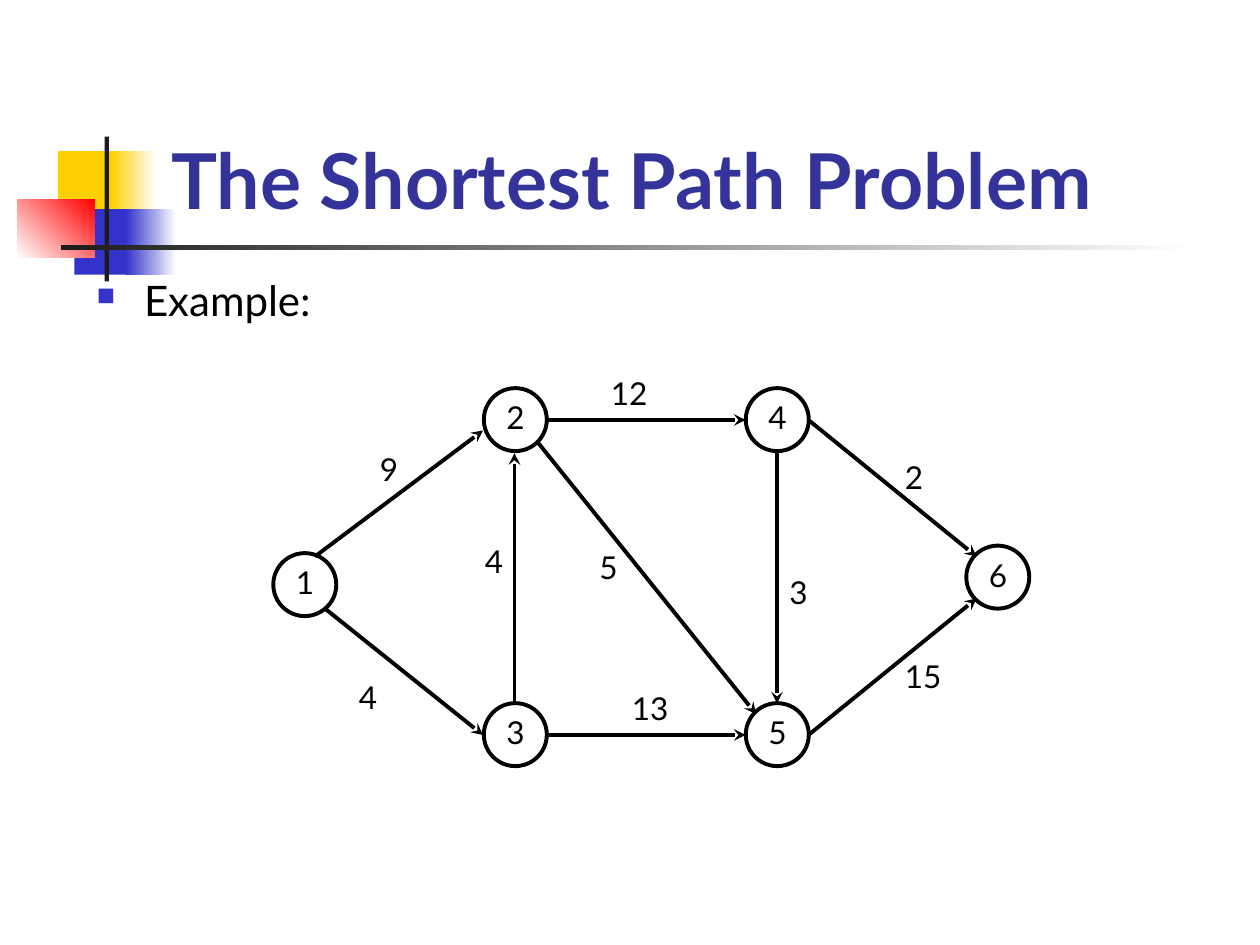
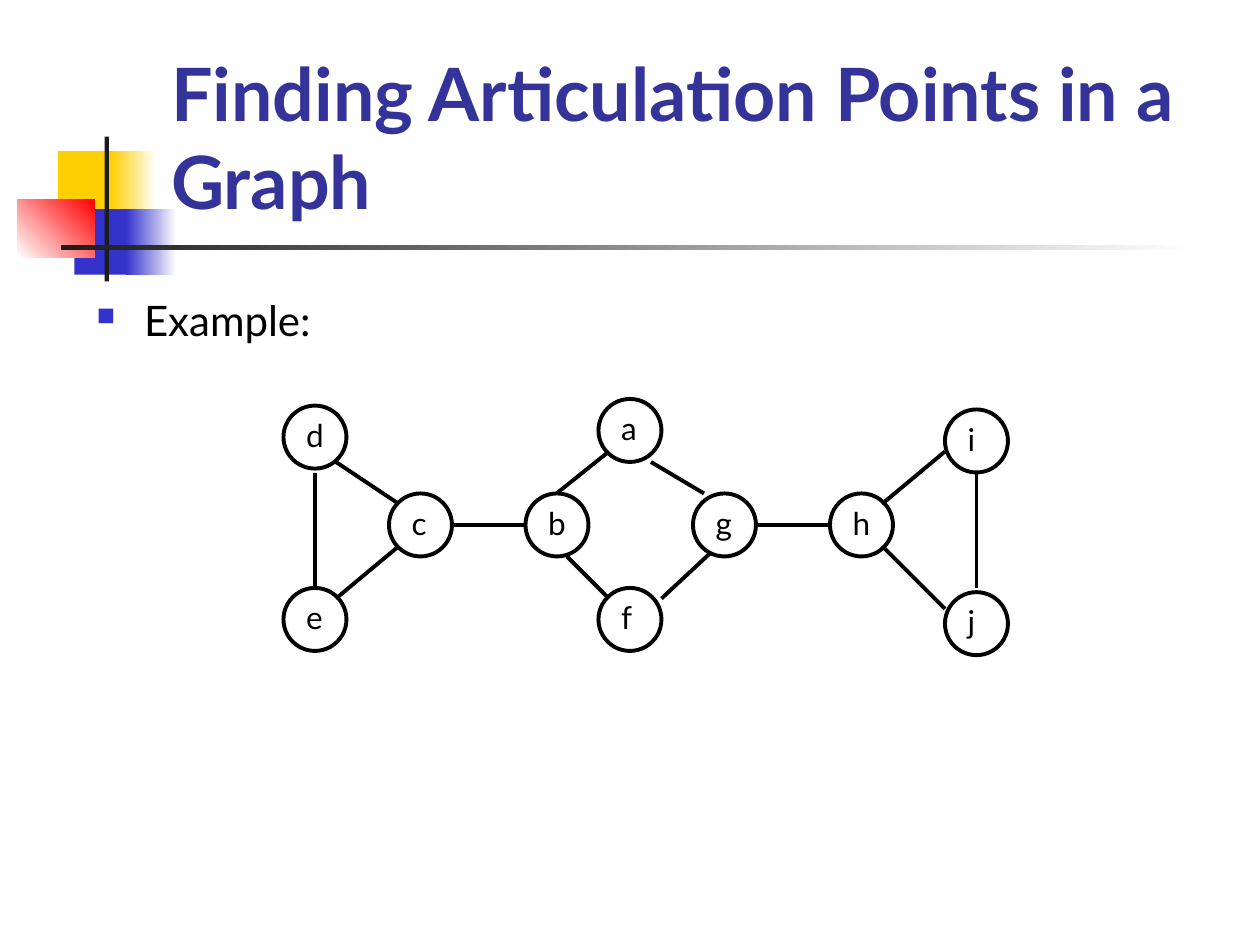
from lxml.etree import SubElement
from pptx import Presentation
from pptx.dml.color import RGBColor
from pptx.enum.shapes import MSO_CONNECTOR as Connector, MSO_SHAPE as Shape
from pptx.enum.text import MSO_ANCHOR as Anchor
from pptx.oxml.ns import qn
from pptx.util import Pt

BLACK = RGBColor(0x00, 0x00, 0x00)
WHITE = RGBColor(0xFF, 0xFF, 0xFF)
NAVY = RGBColor(0x33, 0x33, 0x99)
BLUE = RGBColor(0x33, 0x33, 0xCC)
YELLOW = RGBColor(0xFF, 0xCF, 0x01)
RED = RGBColor(0xFF, 0x00, 0x00)
CHARCOAL = RGBColor(0x1C, 0x1C, 0x1C)

# Corner emblem and title rule: left, top, width, height, colours, angle
EMBLEM = [
    (33.1, 86.4, 34.6, 37.4, [YELLOW], 0),
    (63.4, 86.4, 25.9, 37.4, [YELLOW, WHITE], 0),
    (42.5, 119.5, 33.1, 37.4, [BLUE], 0),
    (72, 119.5, 28.8, 37.4, [BLUE, WHITE], 0),
    (10, 113.8, 44, 33.1, [WHITE, RED], 45),
    (59.8, 78, 2.4, 82.8, [CHARCOAL], 0),
    (34.6, 140.2, 648, 2.5, [CHARCOAL, WHITE], 0),
]


class Deck:
    """Holds the shared style and the slide being built."""

    font = "Lato"
    node_size = 36
    stroke = 2.25

    def __init__(self):
        self.prs = Presentation()
        self.prs.slide_width, self.prs.slide_height = Pt(720), Pt(540)
        self.slide = None

    def new_slide(self, title, title_size, example_top, example_width):
        self.slide = self.prs.slides.add_slide(self.prs.slide_layouts[6])
        for band in EMBLEM:
            self.band(*band)
        heading = self.text(title, 90.7, 16.6, 613.4, 115.2, title_size, NAVY, True)
        heading.vertical_anchor = Anchor.BOTTOM
        self.bullet("Example:", 48.2, example_top, example_width, 45.4)

    def band(self, left, top, width, height, colours, angle):
        band = self.slide.shapes.add_shape(
            Shape.RECTANGLE, Pt(left), Pt(top), Pt(width), Pt(height))
        band.shadow.inherit = False
        band.line.fill.background()
        if len(colours) == 1:
            band.fill.solid()
            band.fill.fore_color.rgb = colours[0]
            return
        band.fill.gradient()
        band.fill.gradient_angle = angle
        for stop, colour in zip(band.fill.gradient_stops, colours):
            stop.color.rgb = colour

    def text(self, words, left, top, width=42, height=28.8, size=18,
             colour=BLACK, bold=False):
        frame = self.slide.shapes.add_textbox(
            Pt(left), Pt(top), Pt(width), Pt(height)).text_frame
        frame.word_wrap = True
        run = frame.paragraphs[0].add_run()
        run.text = words
        run.font.name, run.font.size = self.font, Pt(size)
        run.font.color.rgb, run.font.bold = colour, bold
        return frame

    def bullet(self, words, left, top, width, height):
        paragraph = self.text(words, left, top, width, height, 24).paragraphs[0]
        paragraph.line_spacing = 0.8
        props = paragraph._p.get_or_add_pPr()
        props.set("marL", str(Pt(27)))
        props.set("indent", str(-Pt(27)))
        colour = SubElement(props, qn("a:buClr"))
        SubElement(colour, qn("a:srgbClr"), val=str(BLUE))
        SubElement(props, qn("a:buSzPct"), val="60000")
        SubElement(props, qn("a:buChar"), char="■")

    def node(self, name, left, top):
        circle = self.slide.shapes.add_shape(
            Shape.OVAL, Pt(left), Pt(top), Pt(self.node_size), Pt(self.node_size))
        circle.shadow.inherit = False
        circle.fill.background()
        circle.line.color.rgb = BLACK
        circle.line.width = Pt(self.stroke)
        self.text(name, left + 5.8, top + 2.2)

    def edge(self, x1, y1, x2, y2, directed=False):
        edge = self.slide.shapes.add_connector(
            Connector.STRAIGHT, Pt(x1), Pt(y1), Pt(x2), Pt(y2))
        edge.line.color.rgb = BLACK
        edge.line.width = Pt(self.stroke)
        props = edge._element.spPr
        if directed:
            SubElement(props.find(qn("a:ln")), qn("a:tailEnd"), type="stealth")
        SubElement(props, qn("a:effectLst"))

    def graph(self, nodes, edges, directed=False):
        for name, (left, top) in nodes.items():
            self.node(name, left, top)
        for ends in edges:
            self.edge(*ends, directed=directed)


def shortest_path(deck):
    deck.new_slide("The Shortest Path Problem", 44, 159.1, 663.1)
    upper, lower = 221.8, 401.8
    cities = {
        "1": (156.2, 316.1),
        "2": (276.5, upper), "3": (276.5, lower),
        "4": (426.2, upper), "5": (426.2, lower),
        "6": (552.2, 311.8),
    }
    roads = [
        (180, 318, 276, 246), (186, 348, 276, 420),
        (312, 240, 426, 240), (312, 420, 426, 420),
        (462, 240, 558, 318), (462, 420, 558, 342),
        (294, 402, 294, 259), (444, 258, 444, 402),
        (306.7, 252, 432, 408),
    ]
    deck.graph(cities, roads, directed=True)

    # Road lengths
    lengths = [
        ("9", 210, 253.4), ("4", 198, 384), ("4", 270, 306),
        ("12", 342, 210), ("5", 335.5, 309.6), ("13", 354, 390),
        ("3", 444, 324), ("2", 510, 258), ("15", 510, 372),
    ]
    for length, left, top in lengths:
        deck.text(length, left, top)


def articulation_points(deck):
    deck.new_slide("Finding Articulation Points in a Graph", 42, 170.6, 162)
    middle = 282
    vertices = {
        "d": (162, 231.8), "e": (162, 336), "c": (222.3, middle),
        "b": (300.3, middle), "g": (396, middle),
        "f": (342, 336), "a": (342, 228),
        "h": (474.3, middle), "i": (540, 234), "j": (540, 338.4),
    }
    links = [
        # Left triangle
        (180, 270, 180, 336), (192, 264, 228, 288), (192, 342, 228, 312),
        # Bridges
        (258, 300, 300, 300), (432, 300, 474.3, 300),
        # Central diamond
        (372, 264, 402.3, 282), (378, 342, 406, 316),
        (318, 282, 348, 258), (324, 318, 348, 342),
        # Right triangle
        (558, 270, 558, 336), (504, 312, 540, 348), (504, 288, 540, 258),
    ]
    deck.graph(vertices, links)


def main():
    deck = Deck()
    shortest_path(deck)
    articulation_points(deck)
    deck.prs.save("out.pptx")


if __name__ == "__main__":
    main()
